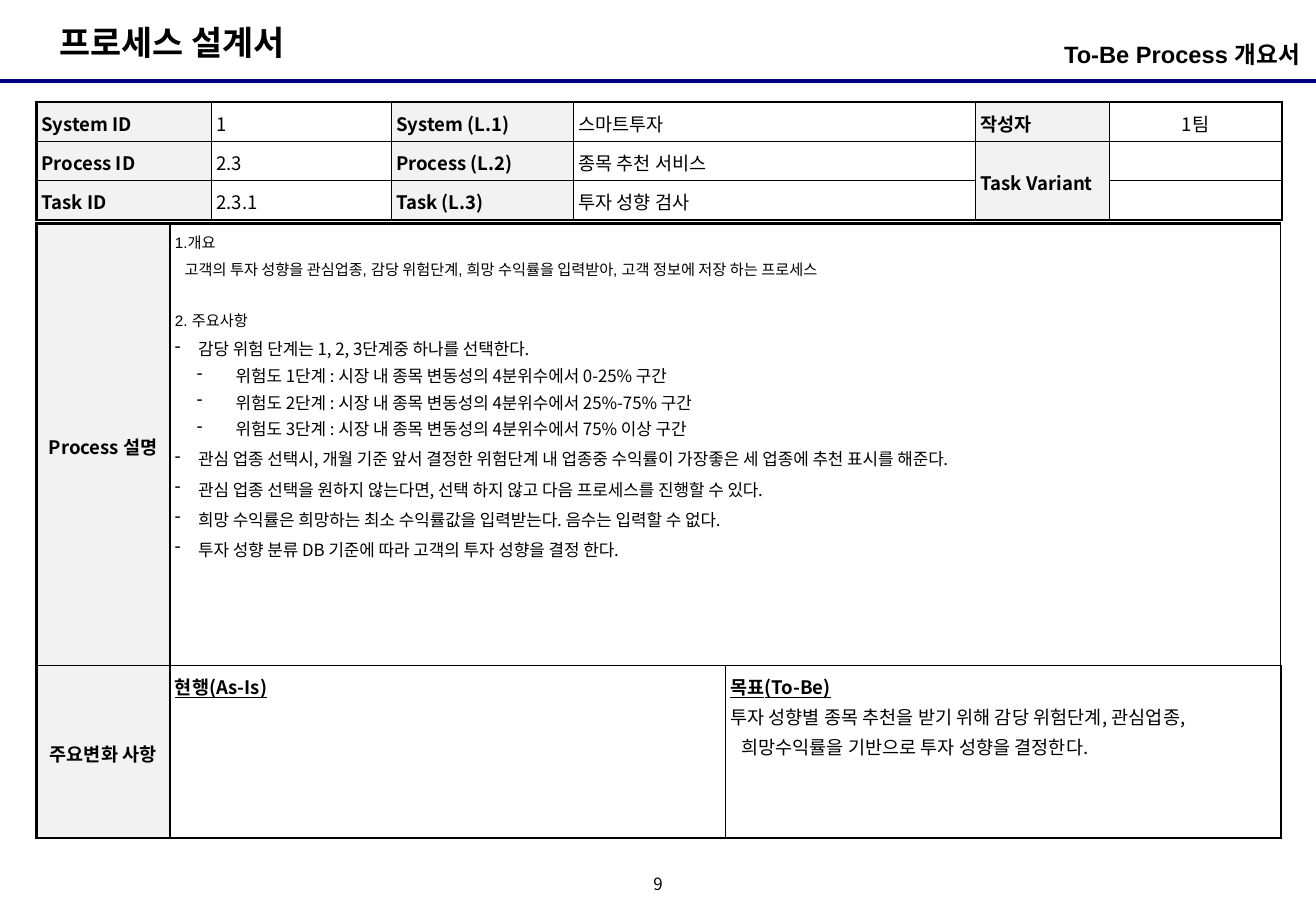
from lxml import etree
from pptx import Presentation
from pptx import util as u
from pptx.dml.color import RGBColor
from pptx.enum import shapes, text
from pptx.oxml.ns import qn

SANS, ARIAL = "Noto Sans CJK KR", "Arial"
COLORS = {"ink": "000000", "rule": "000080", "label": "F2F2F2", "paper": "FFFFFF"}
LEFT, CENTER, RIGHT = text.PP_ALIGN.LEFT, text.PP_ALIGN.CENTER, text.PP_ALIGN.RIGHT
TOP, MIDDLE = text.MSO_ANCHOR.TOP, text.MSO_ANCHOR.MIDDLE

ID_ROWS = [
    ["System ID", "1", "System (L.1)", "스마트투자", "작성자", "1팀"],
    ["Process ID", "2.3", "Process (L.2)", "종목 추천 서비스", "Task Variant", ""],
    ["Task ID", "2.3.1", "Task (L.3)", "투자 성향 검사", "", ""],
]

# Paragraph kinds: margin, first-line indent, space before, bullet, size, font
KINDS = {
    "heading": (0, 0, 0, False, 9, ARIAL),
    "summary": (0.08, 0, 2, False, 9, ARIAL),
    "next heading": (0, 0, 15.5, False, 9, ARIAL),
    "point": (0.19, -0.19, 2, True, 10, SANS),
    "level": (0.5, -0.32, 0, True, 10, SANS),
}
DESCRIPTION = [
    ("heading", "1.개요"),
    ("summary", "고객의 투자 성향을 관심업종, 감당 위험단계, 희망 수익률을 입력받아, "
                "고객 정보에 저장 하는 프로세스"),
    ("next heading", "2. 주요사항"),
    ("point", "감당 위험 단계는 1, 2, 3단계중 하나를 선택한다."),
    ("level", "위험도 1단계 : 시장 내 종목 변동성의 4분위수에서 0-25% 구간"),
    ("level", "위험도 2단계 : 시장 내 종목 변동성의 4분위수에서 25%-75% 구간"),
    ("level", "위험도 3단계 : 시장 내 종목 변동성의 4분위수에서 75% 이상 구간"),
    ("point", "관심 업종 선택시, 개월 기준 앞서 결정한 위험단계 내 업종중 수익률이 "
              "가장좋은 세 업종에 추천 표시를 해준다."),
    ("point", "관심 업종 선택을 원하지 않는다면, 선택 하지 않고 다음 프로세스를 진행할 수 있다."),
    ("point", "희망 수익률은 희망하는 최소 수익률값을 입력받는다. 음수는 입력할 수 없다."),
    ("point", "투자 성향 분류 DB 기준에 따라 고객의 투자 성향을 결정 한다."),
]
TARGET = ("투자 성향별 종목 추천을 받기 위해 감당 위험단계, 관심업종, "
          "희망수익률을 기반으로 투자 성향을 결정한다.")


def color(name):
    return RGBColor.from_string(COLORS[name])


def write(paragraph, words, size=11, font=SANS, bold=False, underline=False,
          align=LEFT, spacing=1.1):
    paragraph.alignment = align
    paragraph.line_spacing = spacing
    if not words:
        # An empty cell keeps the height of its row
        etree.SubElement(paragraph._p, qn("a:endParaRPr"), sz=str(size * 100))
        return
    run = paragraph.add_run()
    run.text = words
    run.font.size, run.font.name = u.Pt(size), font
    run.font.bold = bold
    if underline:
        run.font.underline = True
    run.font.color.rgb = color("ink")
    etree.SubElement(run.font._element, qn("a:ea"), typeface=SANS)


def indent(paragraph, margin, first, bullet=False):
    props = paragraph._p.get_or_add_pPr()
    props.set("marL", str(u.Inches(margin)))
    props.set("indent", str(u.Inches(first)))
    if bullet:
        tint = etree.SubElement(props, qn("a:buClr"))
        etree.SubElement(tint, qn("a:srgbClr"), val=COLORS["ink"])
        etree.SubElement(props, qn("a:buChar"), char="-")


def next_paragraph(frame, first):
    return frame.paragraphs[0] if first else frame.add_paragraph()


def set_frame(frame, side, edge, anchor=TOP):
    frame.word_wrap = True
    frame.auto_size = text.MSO_AUTO_SIZE.NONE
    frame.vertical_anchor = anchor
    frame.margin_left = frame.margin_right = u.Inches(side)
    frame.margin_top = frame.margin_bottom = u.Inches(edge)


def add_text(slide, box, words, edge, anchor=TOP, **style):
    frame = slide.shapes.add_textbox(*map(u.Inches, box)).text_frame
    set_frame(frame, 0, edge, anchor)
    write(frame.paragraphs[0], words, **style)


def add_grid(slide, box, columns, rows):
    """Table with thick outer and thin inner borders."""
    grid = slide.shapes.add_table(len(rows), len(columns), *map(u.Inches, box)).table
    grid.first_row = grid.horz_banding = False
    for column, width in zip(grid.columns, columns):
        column.width = u.Inches(width)
    for row, height in zip(grid.rows, rows):
        row.height = u.Inches(height)
    for r in range(len(rows)):
        for c in range(len(columns)):
            cell = grid.cell(r, c)
            cell.margin_left = cell.margin_right = u.Inches(0.04)
            cell.margin_top = cell.margin_bottom = u.Inches(0.04)
            outer = {"lnL": c == 0, "lnR": c == len(columns) - 1,
                     "lnT": r == 0, "lnB": r == len(rows) - 1}
            for side, thick in outer.items():
                edge = etree.SubElement(cell._tc.get_or_add_tcPr(), qn("a:" + side),
                                        w=str(u.Pt(1.5 if thick else 1)))
                fill = etree.SubElement(edge, qn("a:solidFill"))
                etree.SubElement(fill, qn("a:srgbClr"), val=COLORS["ink"])
            cell.fill.solid()
            cell.fill.fore_color.rgb = color("paper")
    return grid


def label_cell(cell, words, align=LEFT, anchor=TOP):
    cell.fill.fore_color.rgb = color("label")
    cell.vertical_anchor = anchor
    write(cell.text_frame.paragraphs[0], words, bold=True, align=align)


def add_header(slide, box):
    left, top, width, height = box
    # Document title
    title = slide.shapes.title
    title.left, title.top = u.Inches(left + 0.39), u.Inches(top + 0.13)
    title.width, title.height = u.Inches(2.26), u.Inches(0.44)
    set_frame(title.text_frame, 0.1, 0.05)
    write(title.text_frame.paragraphs[0], "프로세스 설계서", size=20, font=ARIAL,
          bold=True, spacing=1.0)
    # Sheet name
    add_text(slide, (left + width - 3.44, top + 0.28, 3.31, 0.39), "To-Be Process 개요서",
             0.05, size=14, font=ARIAL, bold=True, align=RIGHT, spacing=1.0)
    # Rule under the header
    rule = slide.shapes.add_connector(
        shapes.MSO_CONNECTOR.STRAIGHT, u.Inches(left), u.Inches(top + height),
        u.Inches(left + width), u.Inches(top + height))
    rule.line.color.rgb = color("rule")
    rule.line.width = u.Pt(2.25)
    etree.SubElement(rule._element.spPr, qn("a:effectLst"))


def add_identification(slide, box):
    grid = add_grid(slide, box, [1.44, 1.48, 1.5, 3.31, 1.1, 1.42], [0.31] * 3)
    grid.cell(1, 4).merge(grid.cell(2, 4))
    for r, values in enumerate(ID_ROWS):
        for c, words in enumerate(values):
            cell = grid.cell(r, c)
            anchor = MIDDLE if c >= 4 else TOP
            if c % 2 == 0:
                label_cell(cell, words, anchor=anchor)
            else:
                cell.vertical_anchor = anchor
                write(cell.text_frame.paragraphs[0], words,
                      align=CENTER if c == 5 else LEFT)


def add_process(slide, box):
    grid = add_grid(slide, box, [1.1, 4.57, 4.57], [3.64, 1.42])
    grid.cell(0, 1).merge(grid.cell(0, 2))
    for r, words in enumerate(["Process 설명", "주요변화 사항"]):
        label_cell(grid.cell(r, 0), words, CENTER, MIDDLE)
    # Process description
    frame = grid.cell(0, 1).text_frame
    for i, (kind, words) in enumerate(DESCRIPTION):
        margin, first, before, bullet, size, font = KINDS[kind]
        paragraph = next_paragraph(frame, i == 0)
        if before:
            paragraph.space_before = u.Pt(before)
        indent(paragraph, margin, first, bullet)
        write(paragraph, words, size=size, font=font)
    # Main changes: current and target
    for c, lines in enumerate([["현행(As-Is)"], ["목표(To-Be)", TARGET]], start=1):
        frame = grid.cell(1, c).text_frame
        for i, words in enumerate(lines):
            paragraph = next_paragraph(frame, i == 0)
            indent(paragraph, 0.09, -0.09)
            write(paragraph, words, bold=i == 0, underline=i == 0)


def main():
    deck = Presentation()
    deck.slide_width, deck.slide_height = u.Inches(10.83), u.Inches(7.5)
    slide = deck.slides.add_slide(deck.slide_layouts[5])
    add_header(slide, (0, 0, 10.83, 0.67))
    add_identification(slide, (0.3, 0.84, 10.25, 0.93))
    add_process(slide, (0.3, 1.84, 10.24, 5.06))
    # Page number
    add_text(slide, (5.25, 7.17, 0.33, 0.25), "9", 0, MIDDLE, size=10,
             align=CENTER, spacing=0.8)
    deck.save("out.pptx")


if __name__ == "__main__":
    main()
